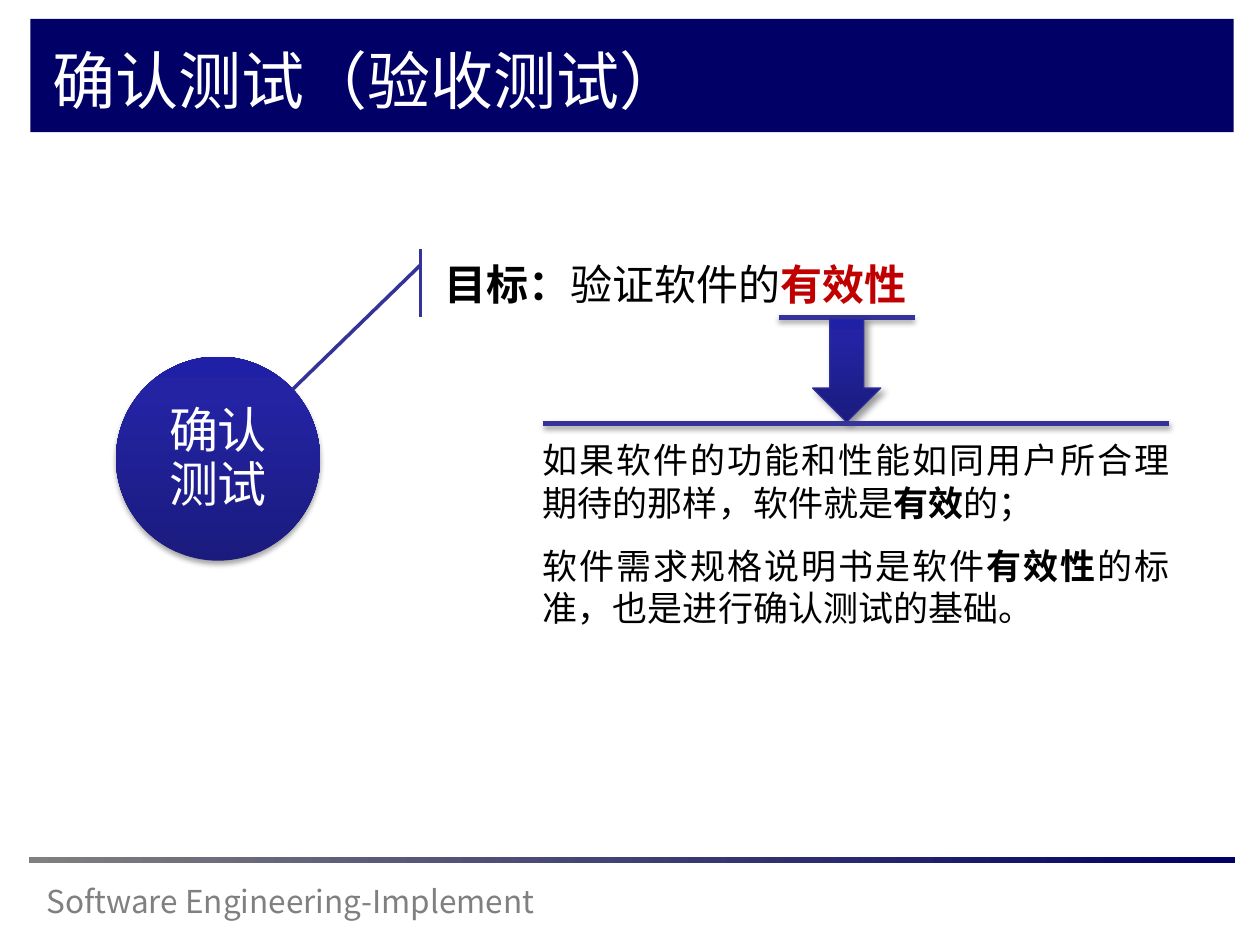
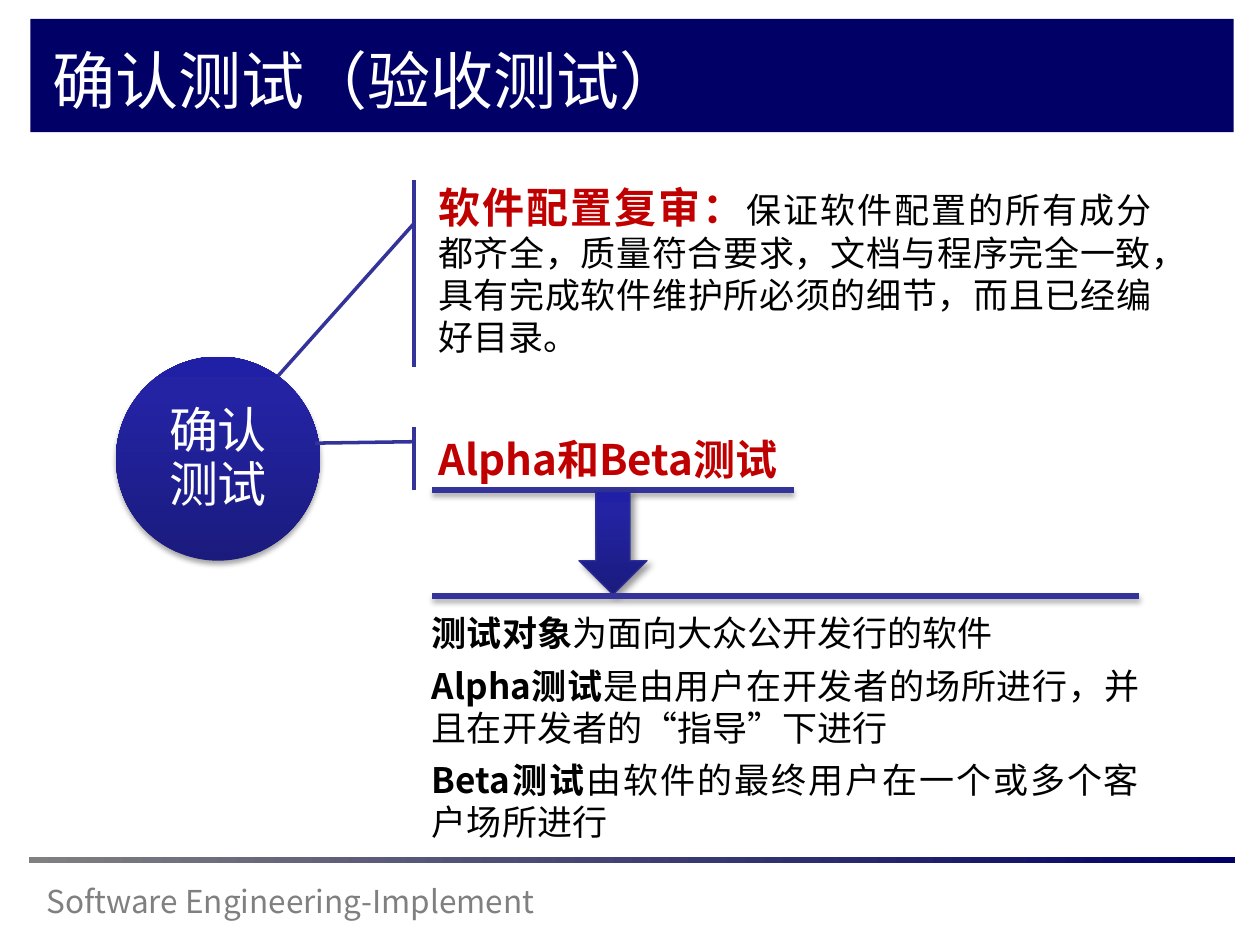
from lxml import etree
from pptx import Presentation
from pptx.dml.color import RGBColor
from pptx.enum.shapes import MSO_CONNECTOR, MSO_SHAPE
from pptx.enum.text import MSO_ANCHOR, PP_ALIGN
from pptx.oxml.ns import qn
from pptx.util import Emu, Inches, Pt

RECT, OVAL = MSO_SHAPE.RECTANGLE, MSO_SHAPE.OVAL
ARROW, CALLOUT = MSO_SHAPE.DOWN_ARROW, MSO_SHAPE.LINE_CALLOUT_1_ACCENT_BAR
STRAIGHT = MSO_CONNECTOR.STRAIGHT
TOP, MIDDLE = MSO_ANCHOR.TOP, MSO_ANCHOR.MIDDLE
LEFT, CENTER, JUSTIFY = PP_ALIGN.LEFT, PP_ALIGN.CENTER, PP_ALIGN.JUSTIFY

FONT = "Noto Sans CJK SC"
NAVY, BLUE, EDGE, RED = "000066", "333399", "2F2F98", "C00000"
GRAY, WHITE, BLACK = "808080", "FFFFFF", "000000"
GLOSS = [(0, "1B1B7E"), (80, "2323A3"), (100, "2020A6")]
FADE = [(0, GRAY), (100, NAVY)]
SOFT = (35, 3.1, 1.8, 90)      # shadow: opacity %, blur, distance, direction
DEEP = (40, 4, 3, 45)
COLS, ROWS = 100, 75           # grid cells across and down the slide
TITLE_ONLY = 5


def rgb(value):
    return RGBColor.from_string(value)


def run(text, size=20, color=BLACK, bold=False):
    """Describe one run of text and its format."""
    return dict(text=text, size=size, color=color, bold=bold)


def add_effects(sp, shadow=None):
    """Replace the theme effects with one outer shadow, or with none."""
    effects = etree.SubElement(sp._element.spPr, qn("a:effectLst"))
    if shadow:
        alpha, blur, dist, angle = shadow
        outer = etree.SubElement(effects, qn("a:outerShdw"), blurRad=str(Pt(blur)),
                                 dist=str(Pt(dist)), dir=str(angle * 60000),
                                 rotWithShape="0")
        clr = etree.SubElement(outer, qn("a:srgbClr"), val=BLACK)
        etree.SubElement(clr, qn("a:alpha"), val=str(alpha * 1000))


class Deck:
    def __init__(self):
        self.prs = Presentation()
        self.prs.slide_width, self.prs.slide_height = Inches(10), Inches(7.5)
        self.layout = self.prs.slide_layouts[TITLE_ONLY]
        self.slide = None

    def x(self, cols):
        return Emu(round(self.prs.slide_width * cols / COLS))

    def y(self, rows):
        return Emu(round(self.prs.slide_height * rows / ROWS))

    def box(self, left, top, width, height):
        return self.x(left), self.y(top), self.x(width), self.y(height)

    # Elements
    def fill_text(self, sp, paras, align=LEFT, anchor=TOP, after=0, leading=1.2,
                  inset=None):
        tf = sp.text_frame
        tf.word_wrap, tf.vertical_anchor = True, anchor
        if inset is not None:
            tf.margin_left = tf.margin_right = Inches(inset)
            tf.margin_top = tf.margin_bottom = Inches(inset)
        for i, runs in enumerate(paras):
            p = tf.add_paragraph() if i else tf.paragraphs[0]
            p.alignment = align
            p.space_before, p.space_after = Pt(0), Pt(after)
            p.line_spacing = Pt(leading * runs[-1]["size"])
            for item in runs:
                r = p.add_run()
                r.text = item["text"]
                r.font.size, r.font.bold = Pt(item["size"]), item["bold"]
                r.font.color.rgb = rgb(item["color"])
                r.font.name = FONT
                etree.SubElement(r._r.get_or_add_rPr(), qn("a:ea"), typeface=FONT)

    def text(self, at, paras, **fmt):
        sp = self.slide.shapes.add_textbox(*self.box(*at))
        self.fill_text(sp, paras, **fmt)
        return sp

    def shape(self, kind, at, fill, angle=0, line=None, shadow=None):
        sp = self.slide.shapes.add_shape(kind, *self.box(*at))
        if isinstance(fill, str):
            sp.fill.solid()
            sp.fill.fore_color.rgb = rgb(fill)
        else:
            sp.fill.gradient()
            sp.fill.gradient_angle = angle
            stops = sp._element.spPr.find(".//" + qn("a:gsLst"))
            for old in list(stops):
                stops.remove(old)
            for pos, color in fill:
                gs = etree.SubElement(stops, qn("a:gs"), pos=str(pos * 1000))
                etree.SubElement(gs, qn("a:srgbClr"), val=color)
        if line:
            sp.line.color.rgb, sp.line.width = rgb(line[0]), Pt(line[1])
        else:
            sp.line.fill.background()
        if shadow:
            add_effects(sp, shadow)
        else:
            sp.shadow.inherit = False
        return sp

    def rule(self, left, right, row):
        sp = self.slide.shapes.add_connector(
            STRAIGHT, self.x(left), self.y(row), self.x(right), self.y(row))
        sp.line.color.rgb, sp.line.width = rgb(BLUE), Pt(3)
        add_effects(sp, SOFT)

    # Compound parts
    def frame(self):
        """Draw the title band and footer, then keep them on the layout."""
        parts = [
            self.shape(RECT, (2.4, 1.5, 95.5, 9), NAVY),
            self.text((2.7, 69.5, 51.7, 4),
                      [[run("Software Engineering-Implement", 18, GRAY)]]),
            self.shape(RECT, (2.3, 68, 95.7, 0.5), FADE),
        ]
        for sp in parts:
            self.layout.shapes._spTree.append(sp._element)

    def new_slide(self, title, topic):
        first = self.slide is None
        self.slide = self.prs.slides.add_slide(self.layout)
        if first:
            self.frame()
        sp = self.slide.shapes.title
        sp.left, sp.top, sp.width, sp.height = self.box(3.2, 2.6, 88.1, 7.4)
        self.fill_text(sp, [[run(title, 36, WHITE)]], anchor=MIDDLE)
        sp = self.shape(OVAL, (9.2, 28.3, 16.2, 16.2), GLOSS, angle=90, shadow=SOFT)
        self.fill_text(sp, [[run(topic, 28, WHITE)]], align=CENTER, anchor=MIDDLE,
                       leading=1.1, inset=0.05)

    def callout(self, left, top, height, tip, runs):
        """Text with an accent bar; tip is the leader's end (down, across)."""
        sp = self.shape(CALLOUT, (left, top, 58.6, height), WHITE, line=(BLUE, 2))
        for i, value in enumerate((0.232, -0.016, *tip)):
            sp.adjustments[i] = value
        self.fill_text(sp, [runs], align=JUSTIFY, anchor=MIDDLE)

    def explain(self, row, underline, rule, paras, after):
        """Underlined words, an arrow down to a rule, and the text below it."""
        arrow_w, arrow_h = 5.4, 8.2
        middle = sum(underline) / 2
        self.rule(*underline, row)
        self.shape(ARROW, (middle - arrow_w / 2, row + 0.1, arrow_w, arrow_h), GLOSS,
                   angle=90, line=(EDGE, 0.75), shadow=DEEP)
        left, right = rule
        self.text((left - 1, row + 9.15, right - left + 2, 17), paras,
                  align=JUSTIFY, after=after)
        self.rule(left, right, row + 8.4)


def main():
    deck = Deck()
    title, topic = "确认测试（验收测试）", "确认测试"

    # Goal of validation testing
    deck.new_slide(title, topic)
    deck.callout(34.3, 19.8, 5.4, (2.057, -0.189), [
        run("目标：", 24, bold=True), run("验证软件的", 24),
        run("有效性", 24, RED, bold=True)])
    deck.explain(25.2, (61.8, 72.6), (43.1, 92.8), [
        [run("如果软件的功能和性能如同用户所合理期待的那样，软件就是"),
         run("有效", bold=True), run("的；")],
        [run("软件需求规格说明书是软件"), run("有效性", bold=True),
         run("的标准，也是进行确认测试的基础。")],
    ], after=12)

    # Configuration review, Alpha and Beta testing
    deck.new_slide(title, topic)
    deck.callout(33.8, 14.3, 14.8, (1.049, -0.2), [
        run("软件配置复审：", 24, RED, bold=True),
        run("保证软件配置的所有成分都齐全，质量符合要求，文档与程序完全一致，"
            "具有完成软件维护所必须的细节，而且已经编好目录。")])
    deck.callout(33.8, 33.9, 5, (0.255, -0.15),
                 [run("Alpha和Beta测试", 24, RED, bold=True)])
    deck.explain(38.9, (34.3, 63), (34.3, 90.4), [
        [run("测试对象", bold=True), run("为面向大众公开发行的软件")],
        [run("Alpha测试", bold=True),
         run("是由用户在开发者的场所进行，并且在开发者的“指导”下进行")],
        [run("Beta测试", bold=True),
         run("由软件的最终用户在一个或多个客户场所进行")],
    ], after=6)

    deck.prs.save("out.pptx")


if __name__ == "__main__":
    main()
